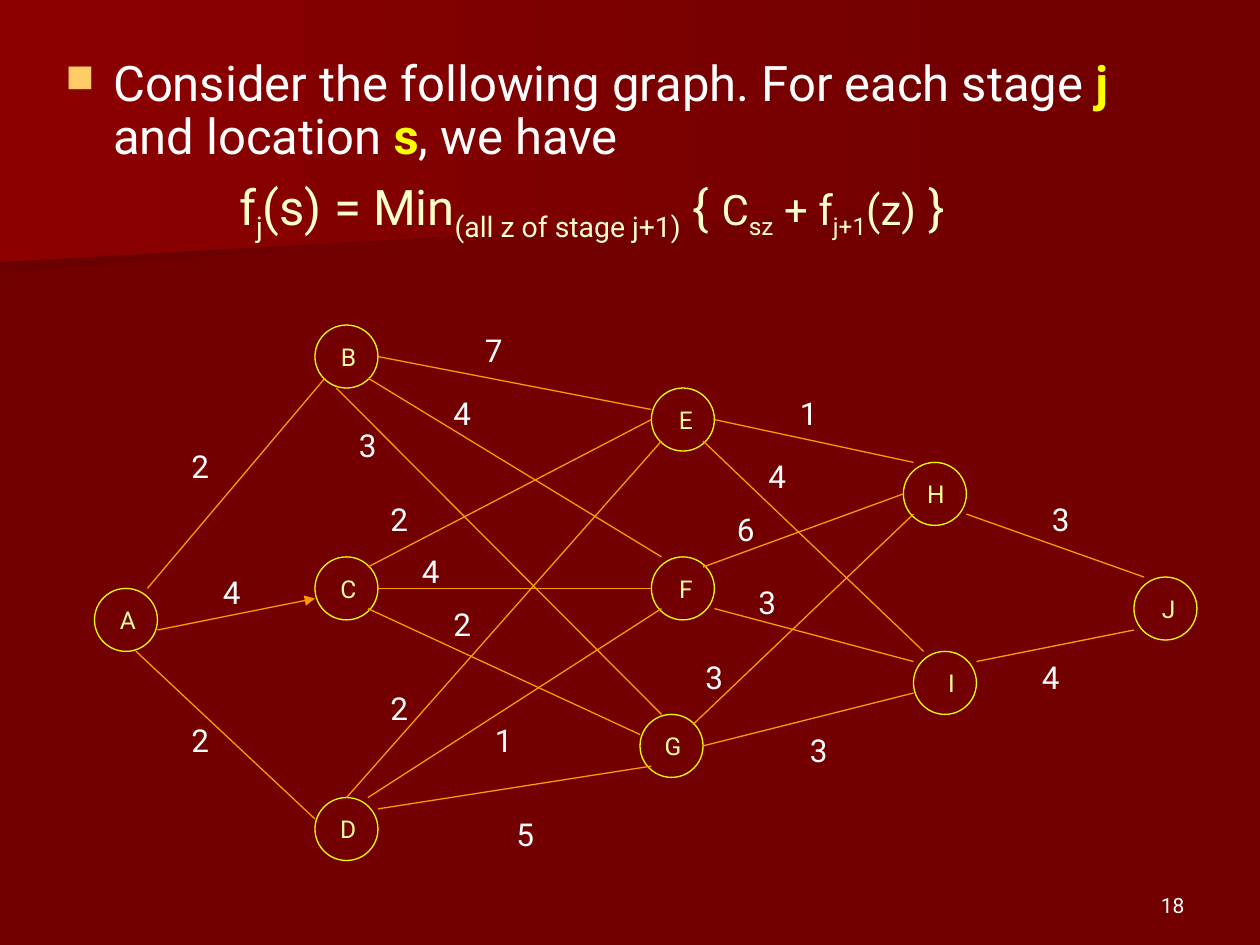
from lxml import etree
from pptx import Presentation
from pptx import util as u
from pptx.dml.color import RGBColor
from pptx.enum import shapes, text
from pptx.oxml.ns import qn


class Theme:
    font = "Roboto"
    background = "720000"
    panel_light = "8C0000"
    panel_dark = "6B0000"
    white = "FFFFFF"
    highlight = "FFFF00"
    formula = "FFFFCC"
    node_text = "FFFF99"
    edge = "FF9900"
    bullet = "FFCC66"
    body_size = 28
    term_size = 24
    weight_size = 18
    node_size = 14
    number_size = 12
    line_width = 0.75


def add_run(paragraph, words, size, color, bold=False, baseline=0):
    run = paragraph.add_run()
    run.text = words
    run.font.name = Theme.font
    run.font.size = u.Pt(size)
    run.font.bold = bold
    run.font.color.rgb = RGBColor.from_string(color)
    if baseline:
        run.font._element.set("baseline", str(baseline * 1000))


def add_text_box(left, top, width, height):
    frame = slide.shapes.add_textbox(
        u.Inches(left), u.Inches(top), u.Inches(width), u.Inches(height)).text_frame
    frame.word_wrap = True
    return frame


presentation = Presentation()
presentation.slide_width = u.Inches(10)
presentation.slide_height = u.Inches(7.5)
slide = presentation.slides.add_slide(presentation.slide_layouts[6])
slide.background.fill.solid()
slide.background.fill.fore_color.rgb = RGBColor.from_string(Theme.background)

panels = [
    (Theme.panel_dark, [(7.78, 1.53), (0, 2.17), (0, 1.01), (7.79, 1.01), (7.78, 1.28)]),
    (Theme.panel_light, [(7.92, 1.62), (0, 2.08), (0, 0), (7.92, 0)]),
]
for color, points in panels:
    corners = [(u.Inches(x), u.Inches(y)) for x, y in points]
    builder = slide.shapes.build_freeform(*corners[0])
    builder.add_line_segments(corners[1:], close=True)
    panel = builder.convert_to_shape()
    panel.shadow.inherit = False
    panel.line.fill.background()
    panel.fill.gradient()
    panel.fill.gradient_angle = 0
    for stop, stop_color in zip(panel.fill.gradient_stops, (color, Theme.background)):
        stop.color.rgb = RGBColor.from_string(stop_color)

number_frame = add_text_box(7.17, 6.83, 2.33, 0.5)
number_frame.vertical_anchor = text.MSO_ANCHOR.BOTTOM
number_frame.paragraphs[0].alignment = text.PP_ALIGN.RIGHT
add_run(number_frame.paragraphs[0], "18", Theme.number_size, Theme.white)

body = add_text_box(0.42, 0.42, 9, 1.58)
statement = body.paragraphs[0]
formula = body.add_paragraph()
for paragraph, margin, indent in [(statement, 0.38, -0.38), (formula, 1.38, 0)]:
    paragraph.line_spacing = 0.9
    paragraph.space_before = u.Pt(7)
    properties = paragraph._p.get_or_add_pPr()
    properties.set("marL", str(u.Inches(margin)))
    properties.set("indent", str(u.Inches(indent)))

properties = statement._p.get_or_add_pPr()
bullet_color = etree.SubElement(properties, qn("a:buClr"))
etree.SubElement(bullet_color, qn("a:srgbClr"), val=Theme.bullet)
etree.SubElement(properties, qn("a:buSzPct"), val="80000")
etree.SubElement(properties, qn("a:buChar"), char="■")

for words, emphasized in [
    ("Consider the following graph. For each stage", False),
    (" j", True),
    (" and location ", False),
    ("s", True),
    (", we have", False),
]:
    color = Theme.highlight if emphasized else Theme.white
    add_run(statement, words, Theme.body_size, color, bold=emphasized)

for words, size, baseline in [
    ("f", Theme.body_size, 0),
    ("j", Theme.body_size, -25),
    ("(s) = Min", Theme.body_size, 0),
    ("(all z of stage j+1)", Theme.body_size, -25),
    (" { ", Theme.body_size, 0),
    ("C", Theme.term_size, 0),
    ("sz", Theme.term_size, -25),
    (" + f", Theme.term_size, 0),
    ("j+1", Theme.term_size, -25),
    ("(z)", Theme.term_size, 0),
    (" }", Theme.body_size, 0),
]:
    add_run(formula, words, size, Theme.formula, baseline=baseline)

nodes = {
    "A": (0.75, 4.67),
    "B": (2.5, 2.58), "C": (2.5, 4.42), "D": (2.5, 6.33),
    "E": (5.17, 3.08), "F": (5.17, 4.42), "G": (5.08, 5.67),
    "H": (7.17, 3.67), "I": (7.25, 5.17),
    "J": (9, 4.58),
}
for name, (left, top) in nodes.items():
    node = slide.shapes.add_shape(
        shapes.MSO_SHAPE.OVAL, u.Inches(left), u.Inches(top), u.Inches(0.5), u.Inches(0.5))
    node.shadow.inherit = False
    node.fill.background()
    node.line.color.rgb = RGBColor.from_string(Theme.highlight)
    node.line.width = u.Pt(Theme.line_width)
    node.text_frame.word_wrap = False
    node.text_frame.vertical_anchor = text.MSO_ANCHOR.MIDDLE
    paragraph = node.text_frame.paragraphs[0]
    paragraph.alignment = text.PP_ALIGN.RIGHT
    paragraph.space_before = u.Pt(3.5)
    properties = paragraph._p.get_or_add_pPr()
    properties.set("marL", str(u.Inches(0.31)))
    properties.set("indent", str(u.Inches(-0.31)))
    add_run(paragraph, name, Theme.node_size, Theme.node_text)

edges = [
    ("AB", (1.17, 4.67), (2.58, 3), "2", (1.42, 3.5)),
    ("AC", (1.25, 5), (2.5, 4.75), "4", (1.67, 4.5)),
    ("AD", (1.08, 5.17), (2.5, 6.5), "2", (1.42, 5.67)),
    ("BE", (3, 2.83), (5.17, 3.25), "7", (3.75, 2.58)),
    ("BF", (2.92, 3), (5.25, 4.42), "4", (3.5, 3.08)),
    ("BG", (2.67, 3.08), (5.25, 5.67), "3", (2.75, 3.33)),
    ("CE", (2.92, 4.5), (5.17, 3.33), "2", (3, 3.92)),
    ("CF", (3, 4.67), (5.17, 4.67), "4", (3.25, 4.33)),
    ("CG", (2.92, 4.83), (5.08, 5.83), "2", (3.5, 4.75)),
    ("DE", (2.75, 6.33), (5.25, 3.5), "2", (3, 5.42)),
    ("DF", (2.92, 6.33), (5.25, 4.83), "1", (3.83, 5.67)),
    ("DG", (3, 6.42), (5.17, 6.08), "5", (4, 6.42)),
    ("EH", (5.67, 3.33), (7.25, 3.67), "1", (6.25, 3.08)),
    ("EI", (5.58, 3.5), (7.33, 5.17), "4", (6, 3.58)),
    ("FH", (5.58, 4.5), (7.17, 3.92), "6", (5.75, 4)),
    ("FI", (5.67, 4.83), (7.25, 5.25), "3", (5.92, 4.58)),
    ("GH", (5.5, 5.75), (7.25, 4.08), "3", (5.5, 5.17)),
    ("GI", (5.58, 5.92), (7.25, 5.5), "3", (6.33, 5.75)),
    ("HJ", (7.67, 4.08), (9.08, 4.58), "3", (8.25, 3.92)),
    ("IJ", (7.75, 5.25), (9, 5), "4", (8.17, 5.17)),
]
for name, start, end, weight, label in edges:
    edge = slide.shapes.add_connector(
        shapes.MSO_CONNECTOR.STRAIGHT, *[u.Inches(value) for value in start + end])
    edge.line.color.rgb = RGBColor.from_string(Theme.edge)
    edge.line.width = u.Pt(Theme.line_width)
    if name == "AC":
        etree.SubElement(edge.line._get_or_add_ln(), qn("a:tailEnd"), type="triangle")
    etree.SubElement(edge._element.spPr, qn("a:effectLst"))
    paragraph = add_text_box(*label, 0.33, 0.42).paragraphs[0]
    paragraph.space_before = u.Pt(4.5)
    add_run(paragraph, weight, Theme.weight_size, Theme.white)

presentation.save("out.pptx")
